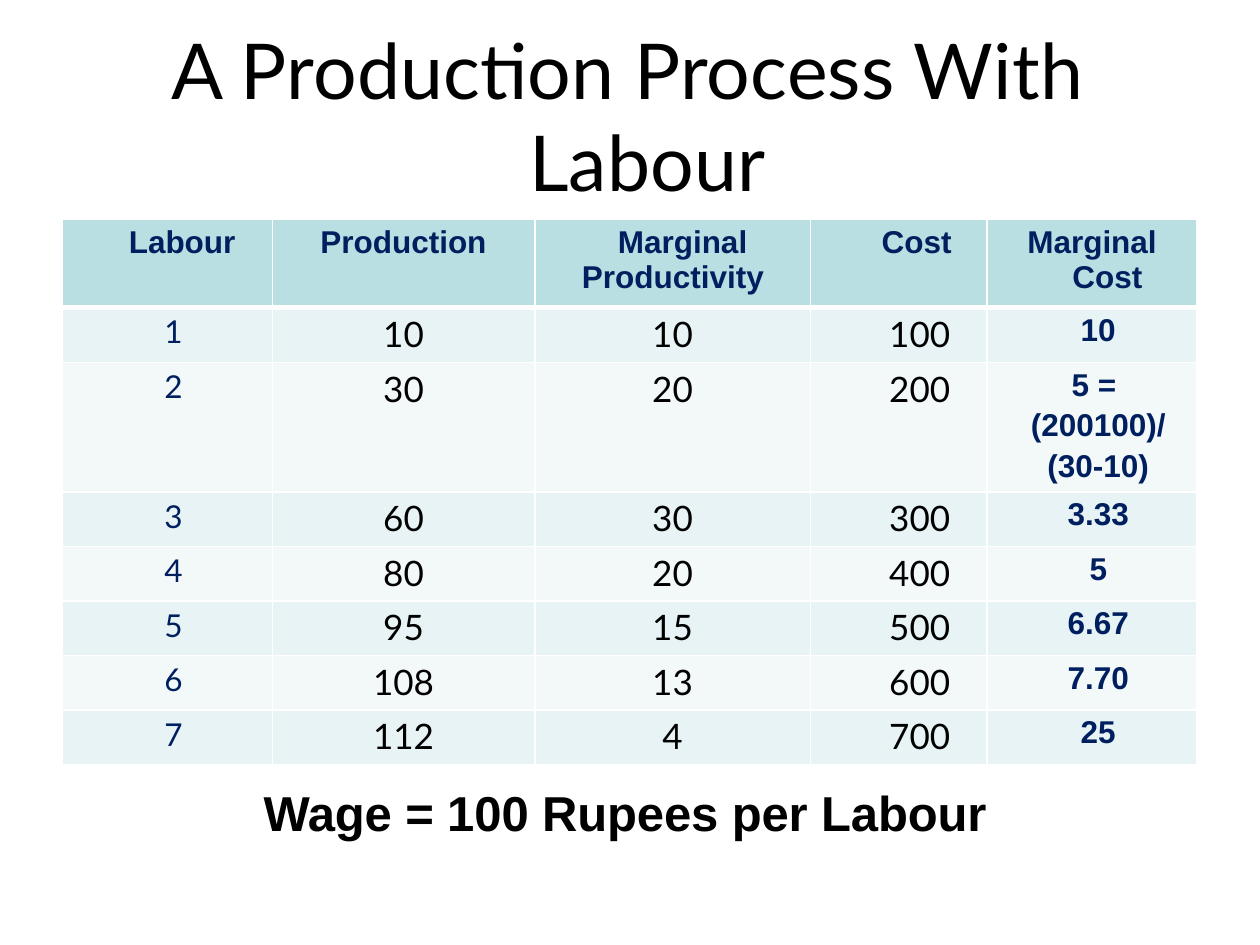
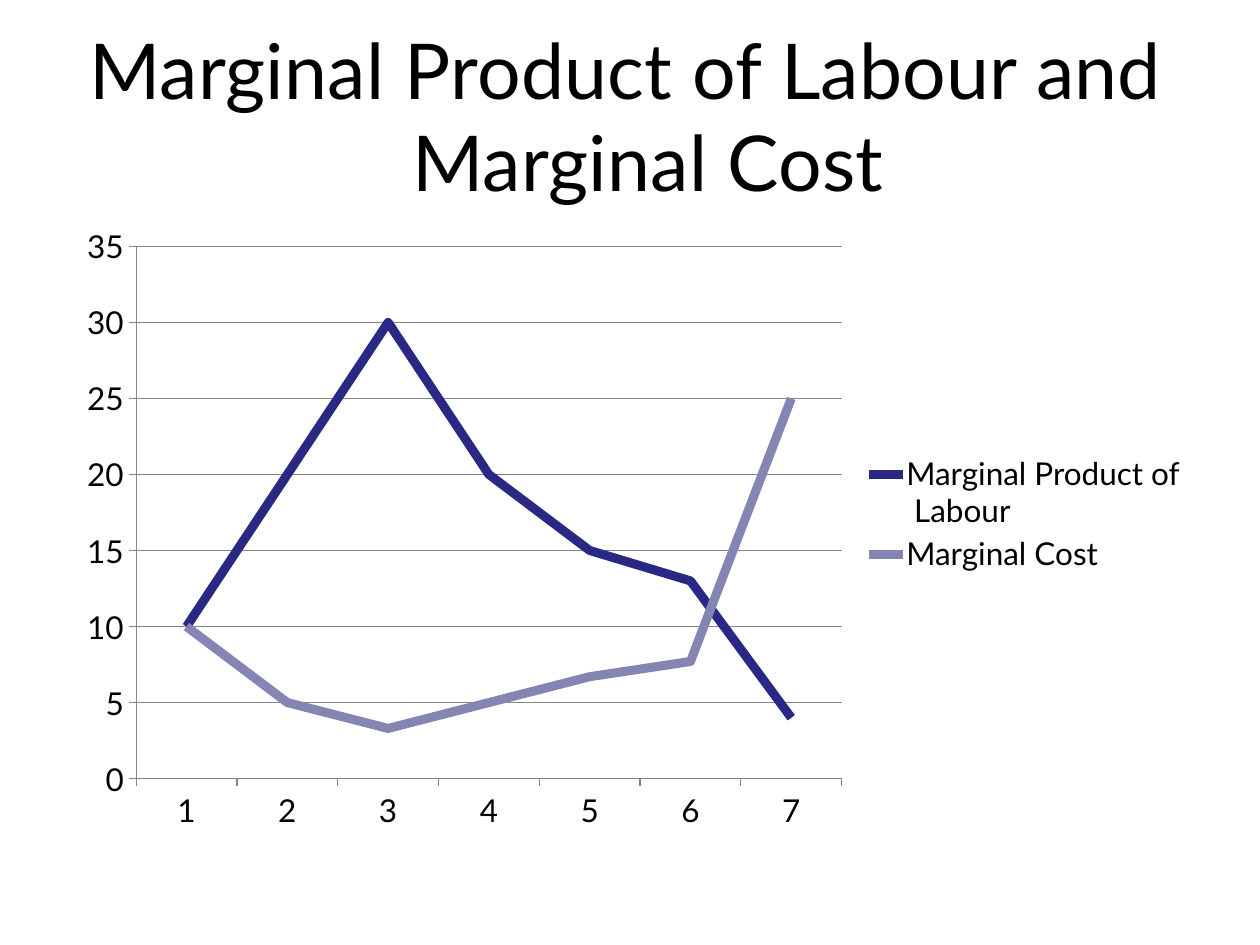
from dataclasses import dataclass

from lxml import etree
from pptx import Presentation
from pptx.chart import data
from pptx.dml import color
from pptx.enum import chart as charts
from pptx.enum import shapes, text
from pptx.oxml import ns
from pptx.oxml import parse_xml
from pptx import util as u

NAVY = "001F5F"
BLACK = "000000"
WHITE = "FFFFFF"
HEADING_FILL = "BADFE2"
BAND_FILLS = ("E7F3F4", "F3F8F9")
GRID = "858585"
SERIES_WIDTH = 5.16
CENTER = text.PP_ALIGN.CENTER
LEFT = text.PP_ALIGN.LEFT


@dataclass(frozen=True)
class Box:
    left: float
    top: float
    width: float
    height: float

    def lengths(self) -> tuple:
        return tuple(u.Pt(n) for n in (self.left, self.top, self.width, self.height))


@dataclass(frozen=True)
class Style:
    size: float
    font: str = "Lato"
    ink: str = BLACK
    bold: bool = False
    align: text.PP_ALIGN = LEFT
    left: float = 0
    first: float = 0
    before: float = 0
    leading: float | None = None
    spacing: float = 0


@dataclass(frozen=True)
class Column:
    heading: str
    width: float
    heading_style: Style
    body_style: Style


@dataclass(frozen=True)
class Output:
    labour: int
    production: int
    productivity: int
    cost: int
    cost_label: str

    def marginal_cost(self) -> float:
        return round(float(self.cost_label.split()[0]), 1)

    def cells(self) -> tuple:
        return (self.labour, self.production, self.productivity, self.cost, self.cost_label)


@dataclass(frozen=True)
class Curve:
    label: str
    ink: str
    values: tuple
    key_y: float


def heading_style(left: float = 0, first: float = 0) -> Style:
    return Style(18, "Arial", NAVY, True, CENTER, left, first, 3.1)


def figure_style(left: float = 0) -> Style:
    return Style(20, align=CENTER, left=left, before=3.1)


COLUMNS = (
    Column("Labour", 120, heading_style(17), Style(18, ink=NAVY, align=CENTER, left=7, before=3.2)),
    Column("Production", 150, heading_style(), figure_style()),
    Column("Marginal\vProductivity", 157.5, heading_style(0.5, 11), figure_style()),
    Column("Cost", 101, heading_style(20.5), figure_style(24)),
    Column("Marginal\vCost", 120, heading_style(17.5, -22), heading_style(7)),
)

OUTPUTS = (
    Output(1, 10, 10, 100, "10"),
    Output(2, 30, 20, 200, "5 = \n(200100)/\n(30-10)"),
    Output(3, 60, 30, 300, "3.33"),
    Output(4, 80, 20, 400, "5"),
    Output(5, 95, 15, 500, "6.67"),
    Output(6, 108, 13, 600, "7.70"),
    Output(7, 112, 4, 700, "25"),
)

CURVES = (
    Curve("Marginal Product of\vLabour", "292985", tuple(o.productivity for o in OUTPUTS), 271.3),
    Curve("Marginal Cost", "8585B4", tuple(o.marginal_cost() for o in OUTPUTS), 316.9),
)

CHART = Box(36, 122, 450, 360)
PLOT = Box(77.8, 140.8, 403.2, 304.2)


def rgb(value: str) -> color.RGBColor:
    return color.RGBColor.from_string(value)


def write(frame, content: str, style: Style) -> None:
    frame.text = content
    for paragraph in frame.paragraphs:
        paragraph.alignment = style.align
        paragraph.space_before = u.Pt(style.before)
        if style.leading:
            paragraph.line_spacing = u.Pt(style.leading)
        properties = paragraph._p.get_or_add_pPr()
        properties.set("marL", str(u.Pt(style.left)))
        properties.set("indent", str(u.Pt(style.first)))
        for run in paragraph.runs:
            run.font.size = u.Pt(style.size)
            run.font.name = style.font
            run.font.bold = style.bold
            run.font.color.rgb = rgb(style.ink)
            if style.spacing:
                run._r.get_or_add_rPr().set("spc", str(round(style.spacing * 100)))


def add_text(slide, box: Box, content: str, style: Style) -> None:
    frame = slide.shapes.add_textbox(*box.lengths()).text_frame
    frame.word_wrap = True
    frame.margin_left = frame.margin_right = frame.margin_bottom = 0
    frame.margin_top = u.Pt(1.7)
    write(frame, content, style)


def add_title(slide, content: str, left: float, width: float, hang: float) -> None:
    style = Style(44, left=hang, first=-hang, spacing=0.13)
    add_text(slide, Box(left, 11, width, 108), content, style)


def border(cell, side: str, width: float) -> None:
    line = etree.SubElement(cell._tc.get_or_add_tcPr(), ns.qn(f"a:ln{side}"), w=str(u.Pt(width)))
    fill = etree.SubElement(line, ns.qn("a:solidFill"))
    etree.SubElement(fill, ns.qn("a:srgbClr"), val=WHITE)


def fill_cell(cell, content: str, style: Style, fill: str, row: int) -> None:
    cell.margin_left = cell.margin_right = cell.margin_bottom = 0
    cell.margin_top = u.Pt(2.9)
    write(cell.text_frame, content, style)
    widths = {"L": 1, "R": 1, "T": 3 if row == 1 else 1, "B": 3 if row == 0 else 1}
    for side, width in widths.items():
        border(cell, side, width)
    cell.fill.solid()
    cell.fill.fore_color.rgb = rgb(fill)


def add_production_table(slide) -> None:
    heights = [50.4] + [74 if "\n" in o.cost_label else 31.2 for o in OUTPUTS]
    box = Box(35.6, 125.5, sum(c.width for c in COLUMNS), sum(heights))
    table = slide.shapes.add_table(len(heights), len(COLUMNS), *box.lengths()).table
    for row, height in enumerate(heights):
        table.rows[row].height = u.Pt(height)
    for index, column in enumerate(COLUMNS):
        table.columns[index].width = u.Pt(column.width)
        fill_cell(table.cell(0, index), column.heading, column.heading_style, HEADING_FILL, 0)
        for row, output in enumerate(OUTPUTS, 1):
            content = str(output.cells()[index])
            fill_cell(table.cell(row, index), content, column.body_style, BAND_FILLS[(row - 1) % 2], row)


def place_plot(chart) -> None:
    area = chart._chartSpace.chart.plotArea
    for layout in area.findall(ns.qn("c:layout")):
        area.remove(layout)
    places = {
        "x": (PLOT.left - CHART.left) / CHART.width,
        "y": (PLOT.top - CHART.top) / CHART.height,
        "w": PLOT.width / CHART.width,
        "h": PLOT.height / CHART.height,
    }
    settings = {"layoutTarget": "inner", "xMode": "edge", "yMode": "edge"}
    settings |= {name: f"{share:.4f}" for name, share in places.items()}
    entries = "".join(f'<c:{name} val="{value}"/>' for name, value in settings.items())
    area.insert(0, parse_xml(
        f'<c:layout {ns.nsdecls("c")}><c:manualLayout>{entries}</c:manualLayout></c:layout>'))


def style_line(line, ink: str, width: float) -> None:
    line.color.rgb = rgb(ink)
    line.width = u.Pt(width)


def add_curves(slide) -> None:
    figures = data.CategoryChartData()
    figures.categories = [str(o.labour) for o in OUTPUTS]
    for curve in CURVES:
        figures.add_series(curve.label.replace("\v", " "), curve.values)
    chart = slide.shapes.add_chart(charts.XL_CHART_TYPE.LINE, *CHART.lengths(), figures).chart
    chart.has_title = False
    chart.has_legend = False
    chart.font.name = "Lato"
    chart.font.size = u.Pt(18)
    chart.font.color.rgb = rgb(BLACK)
    plot = chart.plots[0]
    plot.vary_by_categories = False
    for series, curve in zip(plot.series, CURVES):
        series.smooth = False
        series.marker.style = charts.XL_MARKER_STYLE.NONE
        style_line(series.format.line, curve.ink, SERIES_WIDTH)
    scale = chart.value_axis
    scale.minimum_scale, scale.maximum_scale, scale.major_unit = 0, 35, 5
    scale.has_major_gridlines = True
    style_line(scale.major_gridlines.format.line, GRID, 0.72)
    for axis in (scale, chart.category_axis):
        axis.major_tick_mark = charts.XL_TICK_MARK.OUTSIDE
        axis.minor_tick_mark = charts.XL_TICK_MARK.NONE
        style_line(axis.format.line, GRID, 0.72)
    place_plot(chart)


def add_key(slide, curve: Curve) -> None:
    ends = (u.Pt(n) for n in (496.6, curve.key_y, 516, curve.key_y))
    sample = slide.shapes.add_connector(shapes.MSO_CONNECTOR.STRAIGHT, *ends)
    style_line(sample.line, curve.ink, SERIES_WIDTH)
    etree.SubElement(sample._element.spPr, ns.qn("a:effectLst"))
    height = 23 * len(curve.label.split("\v"))
    style = Style(18, left=5, first=-4.5, leading=20.8)
    add_text(slide, Box(517.4, curve.key_y - 12.7, 165, height), curve.label, style)


def main() -> None:
    deck = Presentation()
    deck.slide_width, deck.slide_height = u.Pt(720), u.Pt(540)
    blank = deck.slide_layouts[6]

    process = deck.slides.add_slide(blank)
    add_title(process, "A Production Process With Labour", 97.8, 526.3, 204.5)
    add_production_table(process)
    wage_style = Style(28, "Arial", bold=True, align=CENTER, spacing=-0.05)
    add_text(process, Box(54, 445.7, 606.2, 35.3), "Wage = 100 Rupees per Labour", wage_style)

    marginals = deck.slides.add_slide(blank)
    add_title(marginals, "Marginal Product of Labour and Marginal Cost", 51, 619.2, 184.5)
    add_curves(marginals)
    for curve in CURVES:
        add_key(marginals, curve)

    deck.save("out.pptx")


if __name__ == "__main__":
    main()
